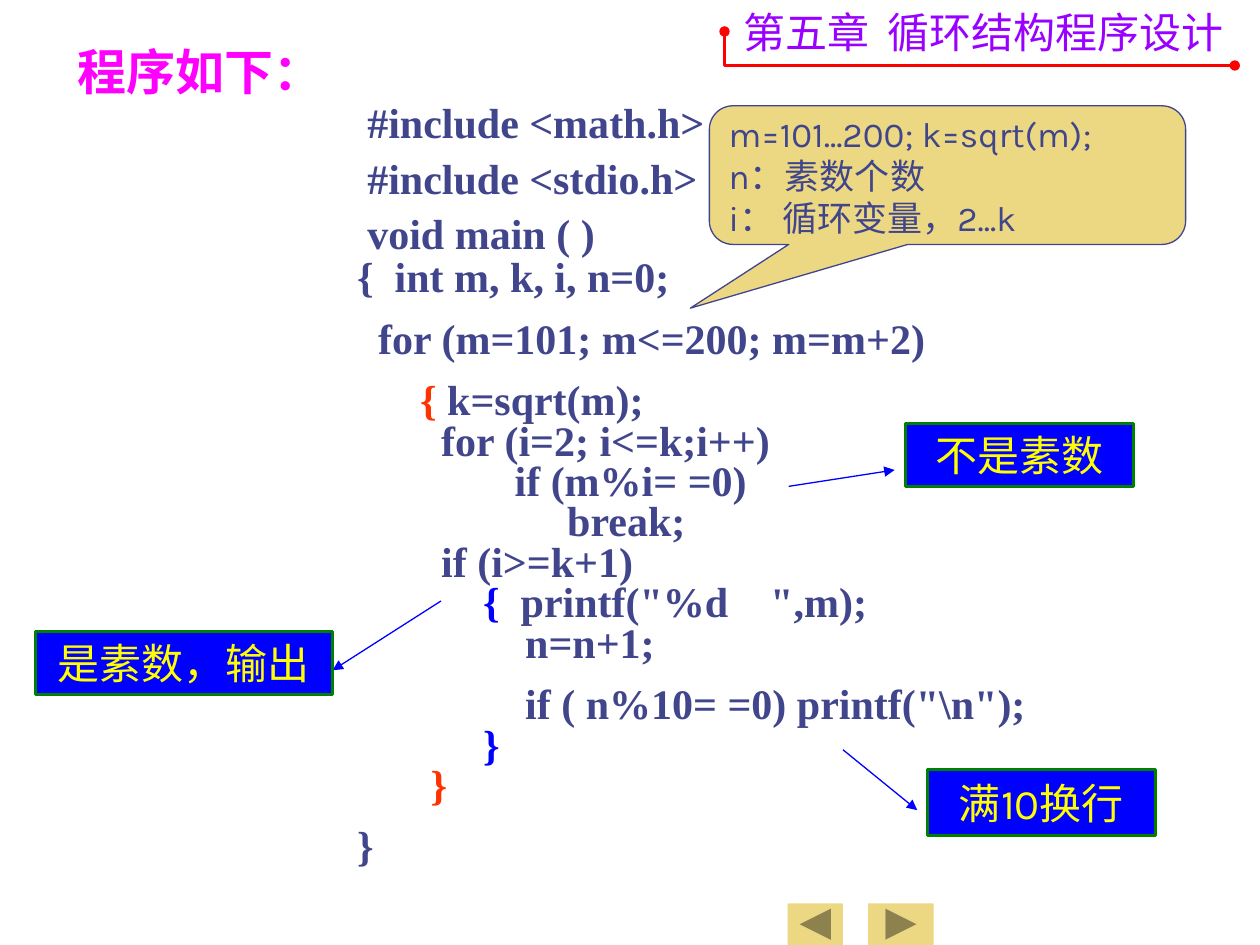
from dataclasses import dataclass

from lxml.etree import SubElement
from pptx import Presentation
from pptx.dml.color import RGBColor
from pptx.enum.shapes import MSO_CONNECTOR as Link, MSO_SHAPE as Kind
from pptx.enum.text import MSO_ANCHOR as Anchor, PP_ALIGN as Align
from pptx.oxml.ns import qn
from pptx.util import Inches, Pt

HEX = {
    "ink": "40458C", "sand": "ECD882", "blue": "0000FF", "green": "008000",
    "yellow": "FFFF00", "red": "FF0000", "brace": "FF3300",
    "pink": "FF00FF", "violet": "9900FF",
}
SERIF, SANS, HAN = "Times New Roman", "Karla", "Noto Sans CJK SC"
COL = Pt(6)  # one code column: the width of a space at 24 pt


@dataclass
class Code:
    col: int
    text: str
    brace: str = ""
    hue: str = "ink"
    gap: bool = False


@dataclass
class Note:
    text: str
    at: tuple
    start: tuple
    end: tuple


HEAD = [
    Code(5, "#include <math.h>"),
    Code(5, "#include <stdio.h>"),
    Code(5, "void main ( )"),
]
BODY = [
    Code(5, "{  int m, k, i, n=0;"),
    Code(7, "for (m=101; m<=200; m=m+2)", gap=True),
    Code(11, "k=sqrt(m);", "{ ", "brace", True),
    Code(13, "for (i=2; i<=k;i++)"),
    Code(20, "if (m%i= =0)"),
    Code(25, "break;"),
    Code(13, "if (i>=k+1)"),
    Code(17, 'printf("%d    ",m);', "{  ", "blue"),
    Code(21, "n=n+1;"),
    Code(21, r'if ( n%10= =0) printf("\n");', gap=True),
    Code(17, "", "}", "blue"),
    Code(12, "", "}", "brace"),
    Code(5, "}", gap=True),
]
NOTES = [
    Note("满10换行", (7.36, 6.11, 1.81, 0.52), (6.69, 5.95), (7.28, 6.43)),
    Note("不是素数", (7.19, 3.36, 1.81, 0.5), (6.26, 3.86), (7.1, 3.73)),
    Note("是素数，输出", (0.28, 5.01, 2.36, 0.5), (3.5, 4.77), (2.64, 5.32)),
]
CALL = ["m=101...200; k=sqrt(m);", "n：素数个数", "i： 循环变量，2...k"]


def hue(name: str) -> RGBColor:
    return RGBColor.from_string(HEX[name])


def box(slide, at: tuple):
    frame = slide.shapes.add_textbox(*map(Inches, at)).text_frame
    frame.word_wrap = True
    return frame


def write(frame, lines: list, font: str, size: float, color: str,
          bold: bool = False, align=Align.LEFT) -> None:
    for i, line in enumerate(lines):
        para = frame.add_paragraph() if i else frame.paragraphs[0]
        para.text, para.alignment = line, align
        style(para.font, font, size, color, bold)


def style(face, font: str, size: float, color: str, bold: bool) -> None:
    face.name, face.size, face.bold = font, Pt(size), bold
    face.color.rgb = hue(color)


def listing(slide, at: tuple, lines: list, pitch: float) -> None:
    """Code lines, indented by column, at a fixed line pitch in points."""
    frame = box(slide, at)
    for i, line in enumerate(lines):
        para = frame.add_paragraph() if i else frame.paragraphs[0]
        para.line_spacing = Pt(pitch)
        para.space_before = Pt(12 if line.gap else 0)
        para._p.get_or_add_pPr().set("marL", str(line.col * COL))
        style(para.font, SERIF, 24, "ink", True)
        if line.brace:
            run = para.add_run()
            run.text = line.brace
            run.font.color.rgb = hue(line.hue)
        if line.text:
            para.add_run().text = line.text


def shape(slide, kind, at: tuple, fill: str, edge: str = "", width: float = 0):
    item = slide.shapes.add_shape(kind, *map(Inches, at))
    item.shadow.inherit = False
    item.fill.solid()
    item.fill.fore_color.rgb = hue(fill)
    if edge:
        stroke(item, edge, width)
    else:
        item.line.fill.background()
    return item


def stroke(item, color: str, width: float, head: str = "", tail: str = "") -> None:
    item.line.color.rgb = hue(color)
    item.line.width = Pt(width)
    for tag, end in (("a:headEnd", head), ("a:tailEnd", tail)):
        if end:
            SubElement(item.line._get_or_add_ln(), qn(tag), type=end)


def arrow(slide, start: tuple, end: tuple) -> None:
    line = slide.shapes.add_connector(Link.STRAIGHT, *map(Inches, start + end))
    stroke(line, "blue", 0.75, tail="triangle")
    SubElement(line._element.spPr, qn("a:effectLst"))


def banner(slide) -> None:
    frame = box(slide, (5.8, 0, 4.2, 0.5))
    frame.word_wrap = False
    write(frame, ["第五章  循环结构程序设计"], HAN, 24, "violet")
    path = slide.shapes.build_freeform(Inches(5.75), Inches(0.25))
    path.add_line_segments(
        [(Inches(5.75), Inches(0.52)), (Inches(9.8), Inches(0.52))], close=False)
    rule = path.convert_to_shape()
    rule.shadow.inherit = False
    rule.fill.background()
    stroke(rule, "red", 1.5, "oval", "oval")


def callout(slide) -> None:
    item = shape(slide, Kind.ROUNDED_RECTANGULAR_CALLOUT,
                 (5.63, 0.84, 3.78, 1.1), "sand", "ink", 0.75)
    for i, value in enumerate((-0.54, 0.96, 0.17)):
        item.adjustments[i] = value
    frame = item.text_frame
    frame.word_wrap, frame.vertical_anchor = False, Anchor.MIDDLE
    write(frame, CALL, SANS, 20, "ink")


def main() -> None:
    deck = Presentation()
    deck.slide_width, deck.slide_height = Inches(10), Inches(7.5)
    slide = deck.slides.add_slide(deck.slide_layouts[6])

    for left, width, turn in ((6.89, 0.52, 0), (6.25, 0.44, 180)):
        key = shape(slide, Kind.ACTION_BUTTON_FORWARD_OR_NEXT,
                    (left, 7.17, width, 0.33), "sand")
        key.rotation = turn

    listing(slide, (2.4, 0.68, 4.79, 1.44), HEAD, 31.7)
    listing(slide, (2.32, 2.02, 7.64, 5.11), BODY, 23.1)
    write(box(slide, (0.52, 0.28, 2.27, 0.57)), ["程序如下："],
          SERIF, 28, "pink", True)
    banner(slide)

    for note in NOTES:
        arrow(slide, note.start, note.end)
        label = shape(slide, Kind.RECTANGLE, note.at, "blue", "green", 1.75)
        label.text_frame.vertical_anchor = Anchor.MIDDLE
        write(label.text_frame, [note.text], SANS, 24, "yellow",
              align=Align.CENTER)
    callout(slide)
    deck.save("out.pptx")


if __name__ == "__main__":
    main()
